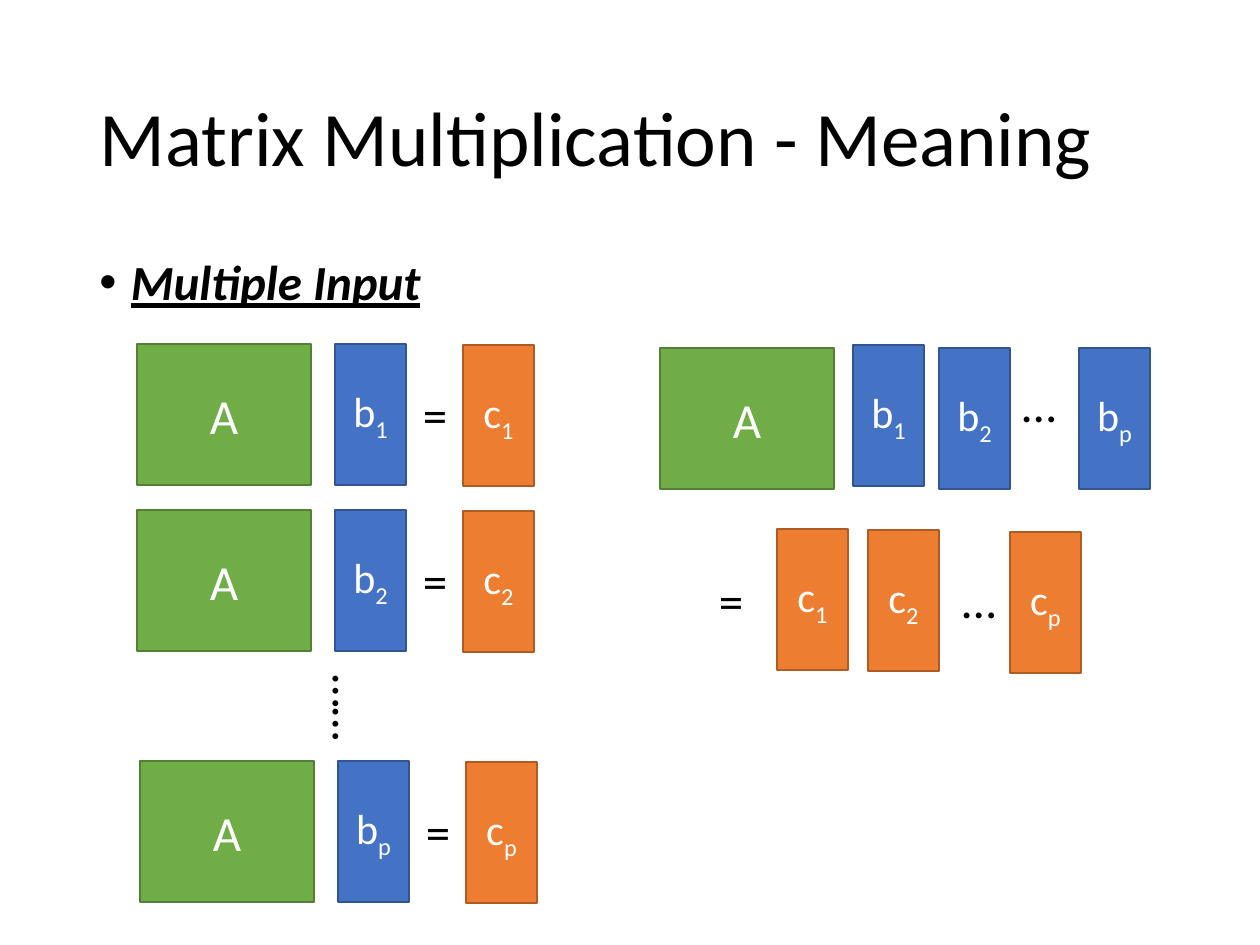
from lxml import etree
from pptx import Presentation
from pptx import util as u
from pptx.dml.color import RGBColor
from pptx.enum import shapes, text
from pptx.oxml import ns

PX = 914400 / 126


def emu(*lengths):
    return [u.Emu(round(n * PX)) for n in lengths]


def color(hex_str):
    return RGBColor.from_string(hex_str)


class Deck:
    FONT = "Calibri"
    INK, WHITE = "000000", "FFFFFF"
    # matrix kind: fill, line, width
    KINDS = {
        "A": ("70AD47", "538035", 174),
        "b": ("4472C4", "325491", 71),
        "c": ("ED7D31", "AF5C24", 71),
    }
    HEIGHT = 141

    def __init__(self, width, height):
        self.prs = Presentation()
        self.prs.slide_width, self.prs.slide_height = emu(width, height)
        self.s = self.prs.slides.add_slide(self.prs.slide_layouts[5])

    def style(self, p, size, ink, align=text.PP_ALIGN.CENTER):
        p.alignment = align
        for r in p.runs:
            r.font.name = self.FONT
            r.font.size = u.Pt(size)
            r.font.color.rgb = color(ink)

    def title(self, words, x, y, w, h):
        sp = self.s.shapes.title
        sp.left, sp.top, sp.width, sp.height = emu(x, y, w, h)
        tf = sp.text_frame
        tf.text = words
        tf.auto_size = text.MSO_AUTO_SIZE.NONE
        tf.vertical_anchor = text.MSO_ANCHOR.MIDDLE
        p = tf.paragraphs[0]
        p.line_spacing = 0.9
        self.style(p, 44, self.INK, text.PP_ALIGN.LEFT)

    def bullet(self, words, x, y, w, h):
        tf = self.s.shapes.add_textbox(*emu(x, y, w, h)).text_frame
        tf.word_wrap = True
        p = tf.paragraphs[0]
        p.text = words
        p.line_spacing = 0.9
        pPr = p._p.get_or_add_pPr()
        pPr.set("marL", str(u.Inches(0.25)))
        pPr.set("indent", str(-u.Inches(0.25)))
        etree.SubElement(pPr, ns.qn("a:buFont"), typeface="Arial")
        etree.SubElement(pPr, ns.qn("a:buChar"), char="•")
        self.style(p, 28, self.INK, text.PP_ALIGN.LEFT)
        font = p.runs[0].font
        font.bold = font.italic = font.underline = True

    def symbol(self, words, x, y, w=116, rotation=0):
        sp = self.s.shapes.add_textbox(*emu(x, y, w, 72))
        sp.rotation = rotation
        tf = sp.text_frame
        tf.text = words
        tf.word_wrap = True
        tf.auto_size = text.MSO_AUTO_SIZE.SHAPE_TO_FIT_TEXT
        self.style(tf.paragraphs[0], 28, self.INK)

    def matrix(self, kind, x, y, index=""):
        fill, line, w = self.KINDS[kind]
        sp = self.s.shapes.add_shape(
            shapes.MSO_SHAPE.RECTANGLE, *emu(x, y, w, self.HEIGHT))
        sp.shadow.inherit = False
        sp.fill.solid()
        sp.fill.fore_color.rgb = color(fill)
        sp.line.color.rgb = color(line)
        sp.line.width = u.Pt(1)
        tf = sp.text_frame
        tf.text = kind
        tf.vertical_anchor = text.MSO_ANCHOR.MIDDLE
        p = tf.paragraphs[0]
        if index:
            r = p.add_run()
            r.text = index
            r.font._element.set("baseline", "-25000")
        self.style(p, 24 if index else 28, self.WHITE)


def main():
    d = Deck(1260, 945)
    d.title("Matrix Multiplication - Meaning", 87, 50, 1086, 183)
    d.bullet("Multiple Input", 87, 252, 1086, 600)

    # Left: one product per input vector
    for index, x, y in (("1", 137, 344), ("2", 137, 510), ("p", 140, 761)):
        d.matrix("b", x + 198, y, index)
        d.matrix("A", x, y)
        d.symbol("=", x + 240, y + 34)
        d.matrix("c", x + 326, y + 1, index)
    d.symbol("……", 289, 672, 126, rotation=90)

    # Right: all input vectors side by side
    d.matrix("A", 660, 348)
    for index, x, y in (("1", 853, 345), ("2", 939, 348), ("p", 1079, 348)):
        d.matrix("b", x, y, index)
    d.symbol("…", 1000, 367, 78)

    # Right: all output vectors side by side
    d.symbol("=", 673, 564)
    for index, x, y in (("1", 777, 529), ("2", 868, 530), ("p", 1010, 532)):
        d.matrix("c", x, y, index)
    d.symbol("…", 940, 563, 78)

    d.prs.save("out.pptx")


if __name__ == "__main__":
    main()
